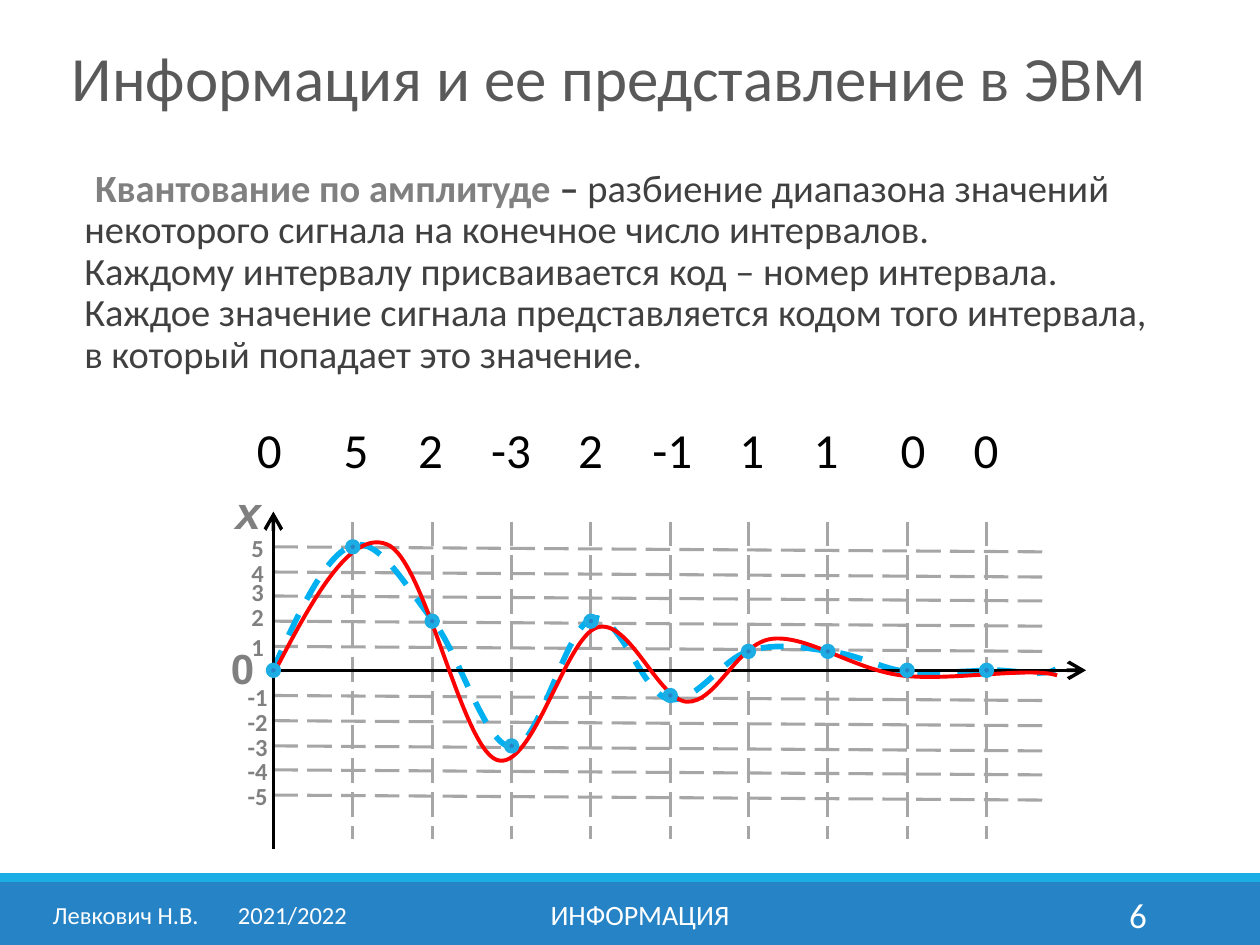
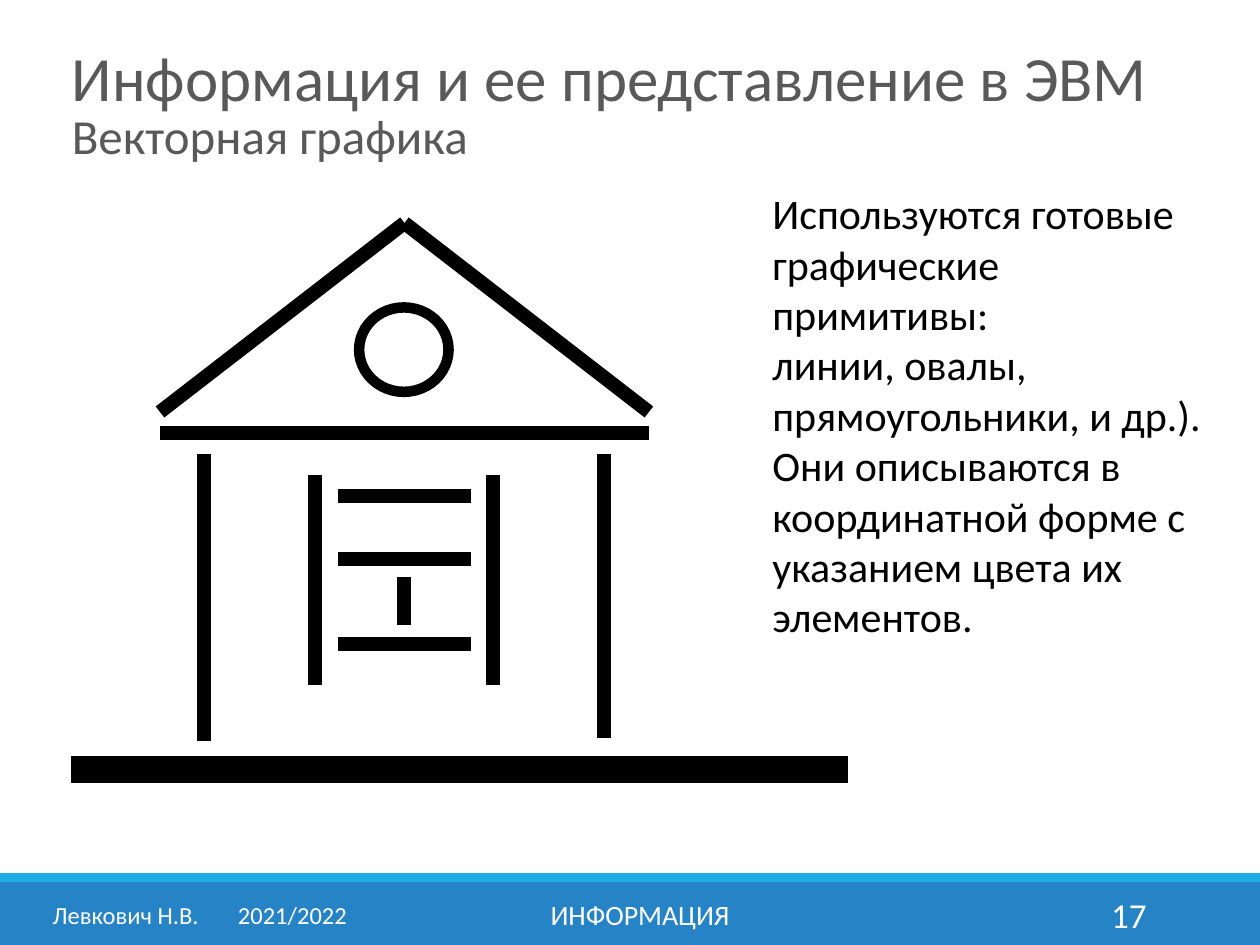
import pptx
import pptx.util
import pptx.dml.color
import pptx.enum.dml
import pptx.enum.shapes
import pptx.enum.text
import pptx.oxml
import pptx.oxml.ns
from lxml import etree

EMU_PER_PX = 9144
FONT = "Calibri"
COLORS = {
    "band": "2683C6",
    "stripe": "1CADE4",
    "white": "FFFFFF",
    "black": "000000",
    "title": "595959",
    "body": "404040",
    "label": "808080",
    "grid": "A6A6A6",
    "digital": "00B0F0",
    "analog": "FF0000",
}
TITLE = "Информация и ее представление в ЭВМ"
ALIGN = pptx.enum.text.PP_ALIGN
ANCHOR = pptx.enum.text.MSO_ANCHOR
SHAPE = pptx.enum.shapes.MSO_SHAPE
DASH = pptx.enum.dml.MSO_LINE

ORIGIN_X, ZERO_Y = 217, 532.5
SAMPLE_STEP, LEVEL_STEP = 62.9, 19.7
SAMPLES = [0, 5, 2, -3, 2, -1, 0.8, 0.8, 0, 0]
CODES = [0, 5, 2, -3, 2, -1, 1, 1, 0, 0]
CODE_TABS = [88, 157, 216, 274, 343, 402, 471, 530, 599, 657]
LEVELS = [level for level in range(5, -6, -1) if level]
LABEL_LIFT = {2: 16, 3: 16}
DIGITAL_CURVE = [
    (216, 533), (237, 486), (259, 439), (280, 433), (301, 426), (323, 467), (344, 493),
    (365, 520), (386, 594), (407, 593), (428, 593), (449, 497), (470, 491),
    (491, 484), (510, 551), (531, 555), (552, 559), (573, 523), (594, 517),
    (615, 510), (638, 514), (658, 517), (679, 519), (698, 530), (718, 533),
    (739, 535), (783, 532), (783, 532), (802, 531), (829, 538), (838, 531),
]
ANALOG_CURVE = [
    (217, 535), (247, 477), (278, 420), (307, 432), (337, 443), (366, 592), (394, 603),
    (422, 614), (449, 505), (474, 498), (499, 490), (522, 555), (545, 557),
    (569, 558), (585, 510), (613, 507), (641, 504), (677, 531), (715, 536),
    (752, 541), (817, 529), (839, 536),
]
HOUSE_LINES = [
    (162, 360, 162, 588), (515, 344, 127, 344), (479, 360, 479, 586),
    (321, 177, 127, 327), (321, 177, 515, 327),
    (250, 377, 250, 544), (391, 377, 391, 544),
    (268, 394, 374, 394), (268, 511, 374, 511), (268, 444, 374, 444),
    (321, 496, 321, 458),
]


def px(length):
    return pptx.util.Emu(round(length * EMU_PER_PX))


def color(name):
    return pptx.dml.color.RGBColor.from_string(COLORS[name])


def add_node(parent, tag, **values):
    return etree.SubElement(parent, pptx.oxml.ns.qn(f"a:{tag}"), **values)


def level_y(level):
    return round(ZERO_Y - LEVEL_STEP * level)


def sample_x(index):
    return round(ORIGIN_X + SAMPLE_STEP * index)


def set_line(line, name, width, dash=None):
    line.color.rgb = color(name)
    line.width = pptx.util.Pt(width)
    if dash:
        line.dash_style = dash


def add_line(page, ends, name, width, dash=None, arrow=None):
    line = page.shapes.add_connector(
        pptx.enum.shapes.MSO_CONNECTOR.STRAIGHT, *[px(end) for end in ends])
    set_line(line.line, name, width, dash)
    if arrow:
        add_node(line.get_or_add_ln(), arrow, type="arrow", w="lg", len="lg")
    add_node(line.element.spPr, "effectLst")


def add_figure(page, kind, place, fill, outline=None, width=0):
    figure = page.shapes.add_shape(kind, *[px(length) for length in place])
    figure.shadow.inherit = False
    figure.fill.solid()
    figure.fill.fore_color.rgb = color(fill)
    if outline:
        set_line(figure.line, outline, width)
    else:
        figure.line.fill.background()
    return figure


def add_curve(page, knots, name, width, dash=None):
    points = [(px(x), px(y)) for x, y in knots]
    builder = page.shapes.build_freeform(*points[0], scale=1.0)
    builder.add_line_segments(points[3::3], close=False)
    curve = builder.convert_to_shape()
    curve.shadow.inherit = False
    curve.fill.background()
    set_line(curve.line, name, width, dash)
    outline = curve.element.xpath(".//a:path")[0]
    for segment in outline.xpath("a:lnTo"):
        outline.remove(segment)
    for first in range(1, len(points), 3):
        bend = add_node(outline, "cubicBezTo")
        for x, y in points[first:first + 3]:
            add_node(bend, "pt", x=str(x - curve.left), y=str(y - curve.top))


def add_run(para, text, size, name, bold=False, italic=False, font=FONT):
    for number, piece in enumerate(text.split("\n")):
        if number:
            para.add_line_break()
        span = para.add_run()
        span.text = piece
        span.font.name = font
        span.font.size = pptx.util.Pt(size)
        span.font.bold = bold
        span.font.italic = italic
        span.font.color.rgb = color(name)


def set_frame(box, place, anchor=ANCHOR.TOP, insets=(10, 5, 10, 5)):
    box.left, box.top, box.width, box.height = [px(length) for length in place]
    frame = box.text_frame
    frame.word_wrap = True
    frame.auto_size = pptx.enum.text.MSO_AUTO_SIZE.NONE
    frame.vertical_anchor = anchor
    frame.margin_left, frame.margin_top, frame.margin_right, frame.margin_bottom = [
        px(inset) for inset in insets]
    return frame


def set_tabs(para, stops):
    holder = add_node(para._p.get_or_add_pPr(), "tabLst")
    for stop in stops:
        add_node(holder, "tab", pos=str(px(stop)), algn="l")


def set_bullet(para, mark=None):
    properties = para._p.get_or_add_pPr()
    properties.set("marL", "0")
    properties.set("indent", "0")
    if mark:
        add_node(properties, "buChar", char=mark)
    else:
        add_node(properties, "buNone")


def add_text(page, place, text, size, name, align=ALIGN.LEFT, anchor=ANCHOR.TOP,
             insets=(10, 5, 10, 5), tabs=(), **style):
    box = page.shapes.add_textbox(0, 0, 0, 0)
    para = set_frame(box, place, anchor, insets).paragraphs[0]
    para.alignment = align
    if tabs:
        set_tabs(para, tabs)
    add_run(para, text, size, name, **style)


def set_title(page, height, lines):
    frame = set_frame(page.shapes.title, (47, 25, 929, height), ANCHOR.MIDDLE)
    for number, (text, size) in enumerate(lines):
        para = frame.add_paragraph() if number else frame.paragraphs[0]
        para.alignment = ALIGN.LEFT
        para.line_spacing = 0.85
        add_run(para, text, size, "title")


def start_body(page, place, insets, spacing, mark=None):
    para = set_frame(page.placeholders[1], place, insets=insets).paragraphs[0]
    para.line_spacing = spacing
    para.space_before = pptx.util.Pt(12)
    set_bullet(para, mark)
    return para


def move_bands_to_master(deck, page):
    bands = [
        add_figure(page, SHAPE.RECTANGLE, (0, 700, 1000, 50), "band"),
        add_figure(page, SHAPE.RECTANGLE, (0, 693, 1000, 7), "stripe"),
    ]
    tree = deck.slide_master.shapes.element
    for number, band in enumerate(bands):
        band.element.xpath(".//p:cNvPr")[0].set("id", str(20 + number))
        tree.insert(2 + number, band.element)


def add_page(deck, number, title_height, title_lines):
    page = deck.slides.add_slide(deck.slide_layouts[1])
    set_title(page, title_height, title_lines)
    footers = [
        (32, 261, "Левкович Н.В.\t2021/2022", 14, ALIGN.LEFT, [147]),
        (302, 412, "ИНФОРМАЦИЯ", 16, ALIGN.CENTER, []),
        (812, 108, str(number), 20, ALIGN.RIGHT, []),
    ]
    for left, width, text, size, align, tabs in footers:
        add_text(page, (left, 706, width, 40), text, size, "white", align,
                 ANCHOR.MIDDLE, tabs=tabs)
    return page


def add_signal_plot(page):
    for level in LEVELS:
        add_line(page, (217, level_y(level), 831, level_y(level) + 4),
                 "grid", 1.75, DASH.LONG_DASH)
    add_curve(page, DIGITAL_CURVE, "digital", 3.25, DASH.DASH)
    for index in range(1, len(SAMPLES)):
        add_line(page, (sample_x(index), 414, sample_x(index), 666),
                 "grid", 1.75, DASH.LONG_DASH)
    add_line(page, (217, 532, 862, 532), "black", 2, arrow="tailEnd")
    add_curve(page, ANALOG_CURVE, "analog", 2.25)
    add_line(page, (217, 406, 217, 674), "black", 2, arrow="headEnd")
    for index, level in enumerate(SAMPLES):
        add_figure(page, SHAPE.OVAL, (sample_x(index) - 4, level_y(level) - 4, 8, 8),
                   "band", "stripe", 3)


def add_axis_labels(page):
    tight = (1, 1, 1, 1)
    add_text(page, (169, 509, 47, 39), "0", 24, "label", ALIGN.CENTER,
             insets=tight, bold=True, font="Arial")
    add_text(page, (169, 383, 47, 40), "x", 26, "label", insets=(18, 1, 1, 1),
             bold=True, italic=True, font="Arial")
    for level in LEVELS:
        top = level_y(level) - LABEL_LIFT.get(level, 12)
        add_text(page, (181, top, 47, 39), str(level), 14, "label", ALIGN.CENTER,
                 insets=tight, bold=True)
    add_text(page, (106, 328, 870, 57), "".join(f"\t{code}" for code in CODES),
             28, "black", tabs=CODE_TABS)


def build_quantization(deck):
    page = add_page(deck, 6, 80, [(TITLE, 36)])
    move_bands_to_master(deck, page)
    para = start_body(page, (67, 129, 906, 193), (0, 5, 0, 5), 0.9, " ")
    add_run(para, "Квантование по амплитуде ", 22, "label", bold=True)
    add_run(para, "– ", 22, "body", bold=True)
    add_run(para, "разбиение диапазона значений некоторого сигнала на конечное число "
            "интервалов.\nКаждому интервалу присваивается код – номер интервала.\n"
            "Каждое значение сигнала представляется кодом того интервала,\n"
            "в который попадает это значение.", 22, "body")
    add_signal_plot(page)
    add_axis_labels(page)


def build_vector_graphics(deck):
    page = add_page(deck, 17, 120, [(TITLE, 36), ("Векторная графика", 28)])
    add_line(page, (56, 611, 673, 611), "black", 15.25)
    for ends in HOUSE_LINES:
        add_line(page, ends, "black", 8)
    add_figure(page, SHAPE.OVAL, (285, 244, 71, 67), "white", "black", 6)
    para = start_body(page, (603, 144, 364, 374), (10, 5, 10, 5), 1.0)
    add_run(para, "Используются готовые графические примитивы:\n"
            "линии, овалы, прямоугольники, и др.). Они описываются в координатной "
            "форме с указанием цвета их элементов.", 24, "black")


def main():
    deck = pptx.Presentation()
    deck.slide_width, deck.slide_height = px(1000), px(750)
    build_quantization(deck)
    build_vector_graphics(deck)
    deck.save("out.pptx")


if __name__ == "__main__":
    main()
